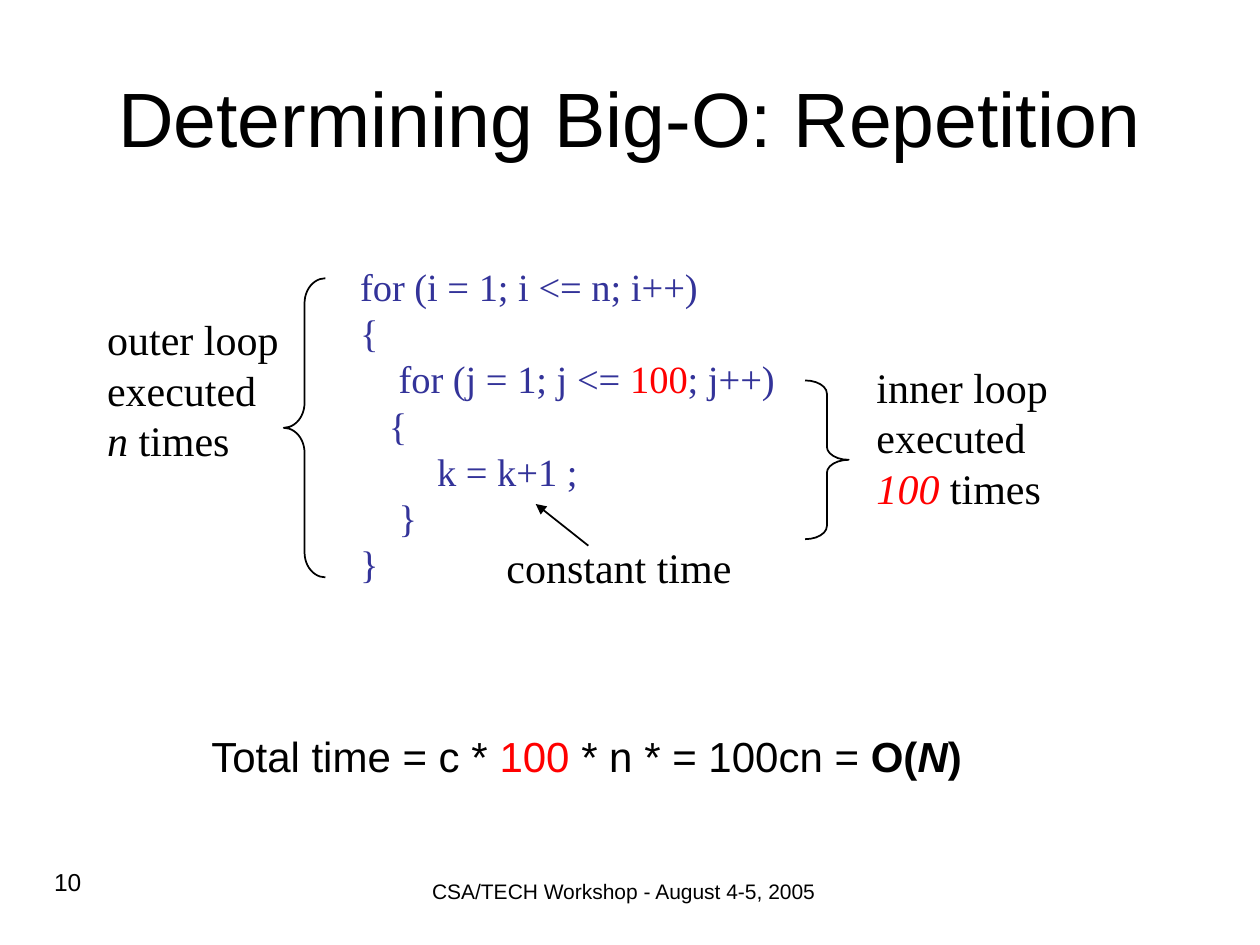
from lxml import etree
from pptx import Presentation
from pptx import util as u
from pptx.dml.color import RGBColor
from pptx.enum import shapes, text
from pptx.oxml.ns import qn

BLACK = RGBColor(0x00, 0x00, 0x00)
RED = RGBColor(0xFF, 0x00, 0x00)
INDIGO = RGBColor(0x33, 0x33, 0x99)
SANS, SERIF = "Arial", "Times New Roman"

CODE = [
    (0, ["for (i = 1; i <= n; i++)"]),
    (0, ["{"]),
    (22, ["for (j = 1; j <= ", ("100", {"color": RED}), "; j++)"]),
    (16.5, ["{"]),
    (44, ["k = k+1 ;"]),
    (22, ["}"]),
    (0, ["}"]),
]


def add_text(s, x, y, w, h, lines, size, font=SANS, color=BLACK):
    """Add a text box of (indent in points, runs) lines."""
    tf = s.shapes.add_textbox(u.Cm(x), u.Cm(y), u.Cm(w), u.Cm(h)).text_frame
    tf.word_wrap = True
    for i, (indent, runs) in enumerate(lines):
        p = tf.add_paragraph() if i else tf.paragraphs[0]
        if indent:
            p._p.get_or_add_pPr().set("marL", str(u.Pt(indent)))
        for run in runs:
            words, style = (run, {}) if isinstance(run, str) else run
            r = p.add_run()
            r.text = words
            r.font.name, r.font.size = font, u.Pt(size)
            r.font.bold = style.get("bold", False)
            r.font.italic = style.get("italic", False)
            r.font.color.rgb = style.get("color", color)
    return tf


def style_line(sp):
    """Give a shape or connector a thin black line."""
    sp.line.color.rgb = BLACK
    sp.line.width = u.Pt(1)


def add_title(s, x, y, w, h):
    """Place the centred slide title."""
    tf = add_text(s, x, y, w, h, [(0, ["Determining Big-O: Repetition"])], 44)
    tf.vertical_anchor = text.MSO_ANCHOR.MIDDLE
    tf.paragraphs[0].alignment = text.PP_ALIGN.CENTER


def add_code(s, x, y, w, h):
    """Place the nested loops."""
    add_text(s, x, y, w, h, CODE, 22, SERIF, INDIGO)


def add_loop_label(s, x, y, w, h, loop, count):
    """Place a three-line label telling how often a loop runs."""
    lines = [(0, [f"{loop} loop"]), (0, ["executed"]), (0, [count, " times"])]
    add_text(s, x, y, w, h, lines, 24, SERIF)


def add_brace(s, x, y, w, h, kind, curve):
    """Place a brace whose curve is a share of its width."""
    sp = s.shapes.add_shape(kind, u.Cm(x), u.Cm(y), u.Cm(w), u.Cm(h))
    sp.shadow.inherit = False
    sp.fill.background()
    sp.adjustments[0] = curve
    style_line(sp)


def add_constant_note(s, x, y, w, h):
    """Place the constant-time note and its arrow to the loop body."""
    add_text(s, x, y + 0.64, w, h - 0.64, [(0, ["constant time"])], 24, SERIF)
    line = s.shapes.add_connector(
        shapes.MSO_CONNECTOR.STRAIGHT,
        u.Cm(x + 1.9), u.Cm(y + 0.84), u.Cm(x + 0.84), u.Cm(y))
    style_line(line)
    etree.SubElement(line.line._get_or_add_ln(), qn("a:tailEnd"), type="triangle")
    etree.SubElement(line._element.spPr, qn("a:effectLst"))


def add_total(s, x, y, w, h):
    """Place the total running time."""
    runs = ["Total time = c * ", ("100", {"color": RED}), " * n * = 100cn = ",
            ("O(", {"bold": True}), ("N", {"bold": True, "italic": True}),
            (")", {"bold": True})]
    add_text(s, x, y, w, h, [(0, runs)], 24)


def add_footer(s, x, y, w, h):
    """Place the slide number and the event line."""
    add_text(s, x, y, 5.92, h, [(0, ["10"])], 14)
    event = "CSA/TECH Workshop - August 4-5, 2005"
    add_text(s, x + 7.62, y + 0.23, w - 7.62, 0.76, [(0, [event])], 12)


def main():
    """Build the slide and save it."""
    prs = Presentation()
    prs.slide_width, prs.slide_height = u.Cm(25.4), u.Cm(19.05)
    s = prs.slides.add_slide(prs.slide_layouts[6])
    add_title(s, 1.27, 0.76, 22.86, 3.18)
    add_code(s, 7.01, 5.18, 9.1, 6.78)
    add_constant_note(s, 9.96, 10.16, 5.2, 1.91)
    add_loop_label(s, 1.91, 6.2, 4.1, 3.3, "outer", ("n", {"italic": True}))
    add_brace(s, 5.72, 5.61, 0.84, 6.03, shapes.MSO_SHAPE.LEFT_BRACE, 0.6)
    add_brace(s, 16.23, 7.67, 0.88, 3.2, shapes.MSO_SHAPE.RIGHT_BRACE, 0.3)
    add_loop_label(s, 17.42, 7.16, 4.1, 3.3, "inner",
                   ("100", {"italic": True, "color": RED}))
    add_total(s, 4.01, 14.61, 15.9, 1.27)
    add_footer(s, 0.84, 17.35, 17.98, 1.32)
    prs.save("out.pptx")


if __name__ == "__main__":
    main()
